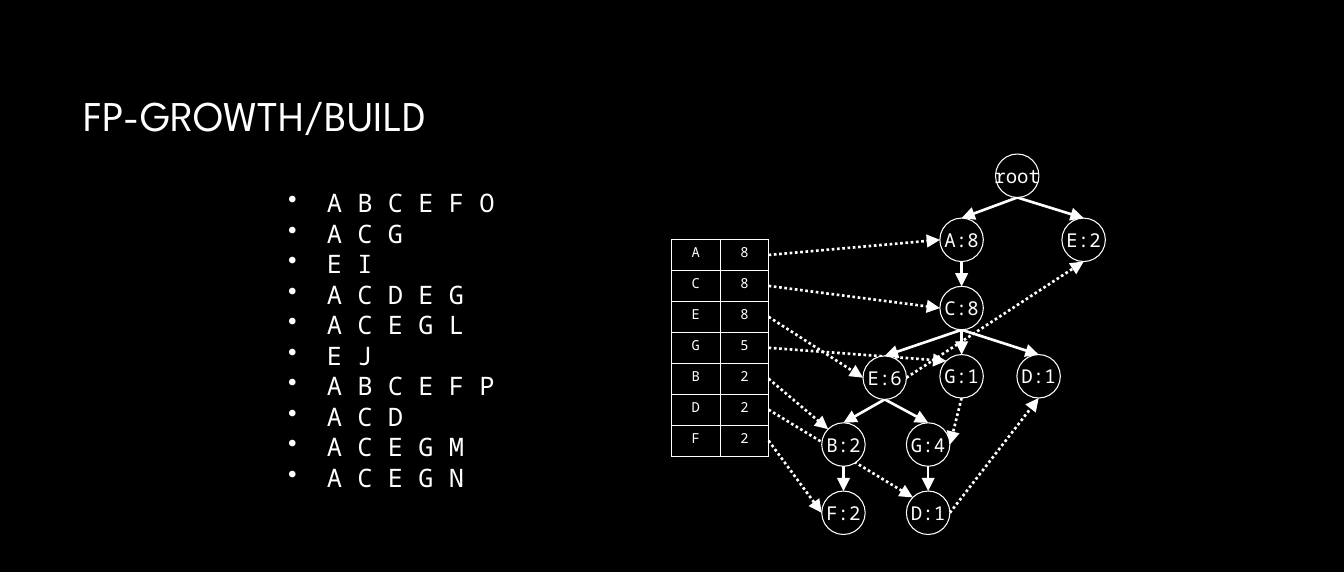
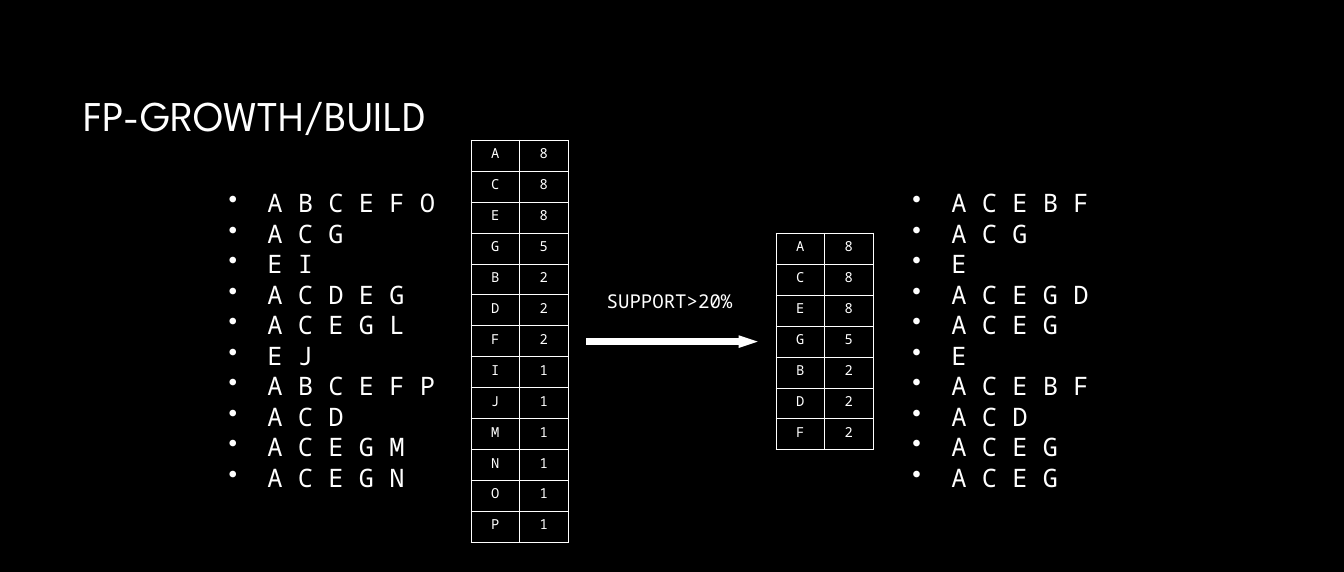
import math
from dataclasses import dataclass

from lxml import etree
from pptx import Presentation
from pptx import util as u
from pptx.dml.color import RGBColor
from pptx.enum import dml, shapes, text
from pptx.oxml import parse_xml
from pptx.oxml.ns import nsdecls, qn


@dataclass(frozen=True)
class Theme:
    ink: RGBColor = RGBColor(0xFF, 0xFF, 0xFF)
    ground: RGBColor = RGBColor(0, 0, 0)
    title_face: str = "League Spartan"
    mono_face: str = "Noto Sans Mono"
    title_size: int = 40
    list_size: int = 24
    label_size: int = 18
    cell_size: int = 13


THEME = Theme()
WIDTH, HEIGHT = 17.63, 7.5
# The grid has 100 columns and 100 rows
COL, ROW = WIDTH / 100, HEIGHT / 100


def add_span(para, words, size, face=THEME.mono_face):
    span = para.add_run()
    span.text = words
    span.font.size = u.Pt(size)
    span.font.name = face
    span.font.color.rgb = THEME.ink


def add_arrow(page, start, end, weight, head, dotted=False):
    """Draw an arrow between two points in inches; head is (width, length)."""
    arrow = page.shapes.add_connector(
        shapes.MSO_CONNECTOR.STRAIGHT, *[u.Inches(v) for v in (*start, *end)])
    arrow.line.color.rgb = THEME.ink
    arrow.line.width = u.Pt(weight)
    if dotted:
        arrow.line.dash_style = dml.MSO_LINE.ROUND_DOT
    properties = arrow._element.spPr
    etree.SubElement(properties.find(qn("a:ln")), qn("a:tailEnd"),
                     type="triangle", w=head[0], len=head[1])
    etree.SubElement(properties, qn("a:effectLst"))


# Content: each letter is one item, each word one transaction
TRANSACTIONS = "ABCEFO ACG EI ACDEG ACEGL EJ ABCEFP ACD ACEGM ACEGN"
SORTED = "ACEBF ACG E ACEGD ACEG E ACEBF ACD ACEG ACEG"
COUNTS = dict(A=8, C=8, E=8, G=5, B=2, D=2, F=2, I=1, J=1, M=1, N=1, O=1, P=1)
FREQUENT = {item: count for item, count in COUNTS.items() if count > 1}

# Each page: lists as (column, width, words), tables as (column, row, counts)
PAGES = [
    ([(20.87, 16.8, TRANSACTIONS)], [(49.97, 41.87, FREQUENT)]),
    ([(16.45, 16.8, TRANSACTIONS), (67.33, 14.5, SORTED)],
     [(35.05, 24.53, COUNTS), (57.74, 40.8, FREQUENT)]),
]
CELL_WIDTH, CELL_HEIGHT = 3.61 * COL, 5.41 * ROW

deck = Presentation()
deck.slide_width, deck.slide_height = u.Inches(WIDTH), u.Inches(HEIGHT)
ground = deck.slide_master.background.fill
ground.solid()
ground.fore_color.rgb = THEME.ground

for lists, tables in PAGES:
    page = deck.slides.add_slide(deck.slide_layouts[6])

    # Title
    box = page.shapes.add_textbox(u.Inches(5.62 * COL), u.Inches(11.2 * ROW),
                                  u.Inches(70.6 * COL), u.Inches(18.8 * ROW))
    box.text_frame.word_wrap = True
    box.text_frame.vertical_anchor = text.MSO_ANCHOR.MIDDLE
    para = box.text_frame.paragraphs[0]
    para.line_spacing = 0.9
    add_span(para, "FP-GROWTH/BUILD", THEME.title_size, THEME.title_face)

    # Transaction lists
    for left, width, words in lists:
        box = page.shapes.add_textbox(u.Inches(left * COL), u.Inches(32.13 * ROW),
                                      u.Inches(width * COL), u.Inches(55.2 * ROW))
        box.text_frame.word_wrap = True
        for index, word in enumerate(words.split()):
            para = (box.text_frame.add_paragraph() if index
                    else box.text_frame.paragraphs[0])
            bullet = para._p.get_or_add_pPr()
            bullet.set("marL", str(u.Inches(0.51)))
            bullet.set("indent", str(-u.Inches(0.51)))
            etree.SubElement(bullet, qn("a:buChar"), char="•")
            add_span(para, " ".join(word), THEME.list_size)

    # Count tables
    for left, top, counts in tables:
        grid = page.shapes.add_table(
            len(counts), 2, u.Inches(left * COL), u.Inches(top * ROW),
            u.Inches(2 * CELL_WIDTH), u.Inches(len(counts) * CELL_HEIGHT)).table
        grid.first_row = grid.horz_banding = False
        for line in grid.rows:
            line.height = u.Inches(CELL_HEIGHT)
        for row, pair in enumerate(counts.items()):
            for column, value in enumerate(pair):
                cell = grid.cell(row, column)
                borders = cell._tc.get_or_add_tcPr()
                for side in "LRTB":
                    borders.append(parse_xml(
                        f'<a:ln{side} {nsdecls("a")} w="{u.Pt(1)}"><a:solidFill>'
                        f'<a:srgbClr val="{THEME.ink}"/></a:solidFill></a:ln{side}>'))
                cell.fill.solid()
                cell.fill.fore_color.rgb = THEME.ground
                para = cell.text_frame.paragraphs[0]
                para.alignment = text.PP_ALIGN.CENTER
                add_span(para, str(value), THEME.cell_size)

tree_page, filter_page = deck.slides

# Tree nodes: label, centre column, level below the root
NODES = {
    "A": ("A:8", 71.55, 0), "E2": ("E:2", 80.63, 0), "C": ("C:8", 71.55, 1),
    "E6": ("E:6", 65.83, 2.02), "G1": ("G:1", 71.55, 2), "D": ("D:1", 77.28, 2),
    "B": ("B:2", 62.76, 3), "G4": ("G:4", 69.06, 3),
    "F": ("F:2", 62.76, 4), "DG": ("D:1", 69.06, 4),
}
DIAMETER = 0.57
centres = {name: (column * COL, (41.93 + 11.93 * level) * ROW)
           for name, (_, column, level) in NODES.items()}
labels = {name: node[0] for name, node in NODES.items()}
centres["root"], labels["root"] = (75.69 * COL, 30.73 * ROW), "root"

# Arrow ends on a circle, by compass angle
ANGLES = {"right": 0, "bottom": 90, "left": 180, "corner": 225, "top": 270}
ports = {(name, side): (x + DIAMETER / 2 * math.cos(math.radians(angle)),
                        y + DIAMETER / 2 * math.sin(math.radians(angle)))
         for name, (x, y) in centres.items() for side, angle in ANGLES.items()}

# Tree edges
CHILDREN = {"root": ["A", "E2"], "A": ["C"], "C": ["E6", "G1", "D"],
            "E6": ["B", "G4"], "B": ["F"], "G4": ["DG"]}
links = [(ports[parent, "bottom"], ports[child, "top"], False)
         for parent, children in CHILDREN.items() for child in children]

# Dotted links from the table rows, then between nodes of one item
HEADS = [("A", "left"), ("C", "left"), ("E6", "left"), ("G1", "corner"),
         ("B", "corner"), ("DG", "corner"), ("F", "left")]
left, top, _ = PAGES[0][1][0]
for index, head in enumerate(HEADS):
    start = left * COL + 2 * CELL_WIDTH, top * ROW + (index + 0.5) * CELL_HEIGHT
    links.append((start, ports[head], True))
for tail, head in [(("G1", "bottom"), ("G4", "right")),
                   (("DG", "right"), ("D", "bottom")),
                   (("E6", "right"), ("E2", "bottom"))]:
    links.append((ports[tail], ports[head], True))
for start, end, dotted in links:
    add_arrow(tree_page, start, end, 2.5, ("lg", "lg"), dotted)

# Tree circles
for name, (x, y) in centres.items():
    circle = tree_page.shapes.add_shape(
        shapes.MSO_SHAPE.OVAL, u.Inches(x - DIAMETER / 2),
        u.Inches(y - DIAMETER / 2), u.Inches(DIAMETER), u.Inches(DIAMETER))
    circle.shadow.inherit = False
    circle.fill.solid()
    circle.fill.fore_color.rgb = THEME.ground
    circle.line.color.rgb = THEME.ink
    circle.line.width = u.Pt(1)
    frame = circle.text_frame
    frame.margin_left = frame.margin_right = frame.margin_top = frame.margin_bottom = 0
    frame.word_wrap = False
    frame.vertical_anchor = text.MSO_ANCHOR.MIDDLE
    frame.paragraphs[0].alignment = text.PP_ALIGN.CENTER
    add_span(frame.paragraphs[0], labels[name], THEME.label_size)

# Support filter
add_arrow(filter_page, (43.62 * COL, 59.73 * ROW), (56.38 * COL, 59.73 * ROW),
          6, ("sm", "med"))
box = filter_page.shapes.add_textbox(u.Inches(44.58 * COL), u.Inches(50 * ROW),
                                     u.Inches(11.3 * COL), u.Inches(5.33 * ROW))
box.text_frame.word_wrap = True
add_span(box.text_frame.paragraphs[0], "SUPPORT>20%", THEME.label_size)

deck.save("out.pptx")
